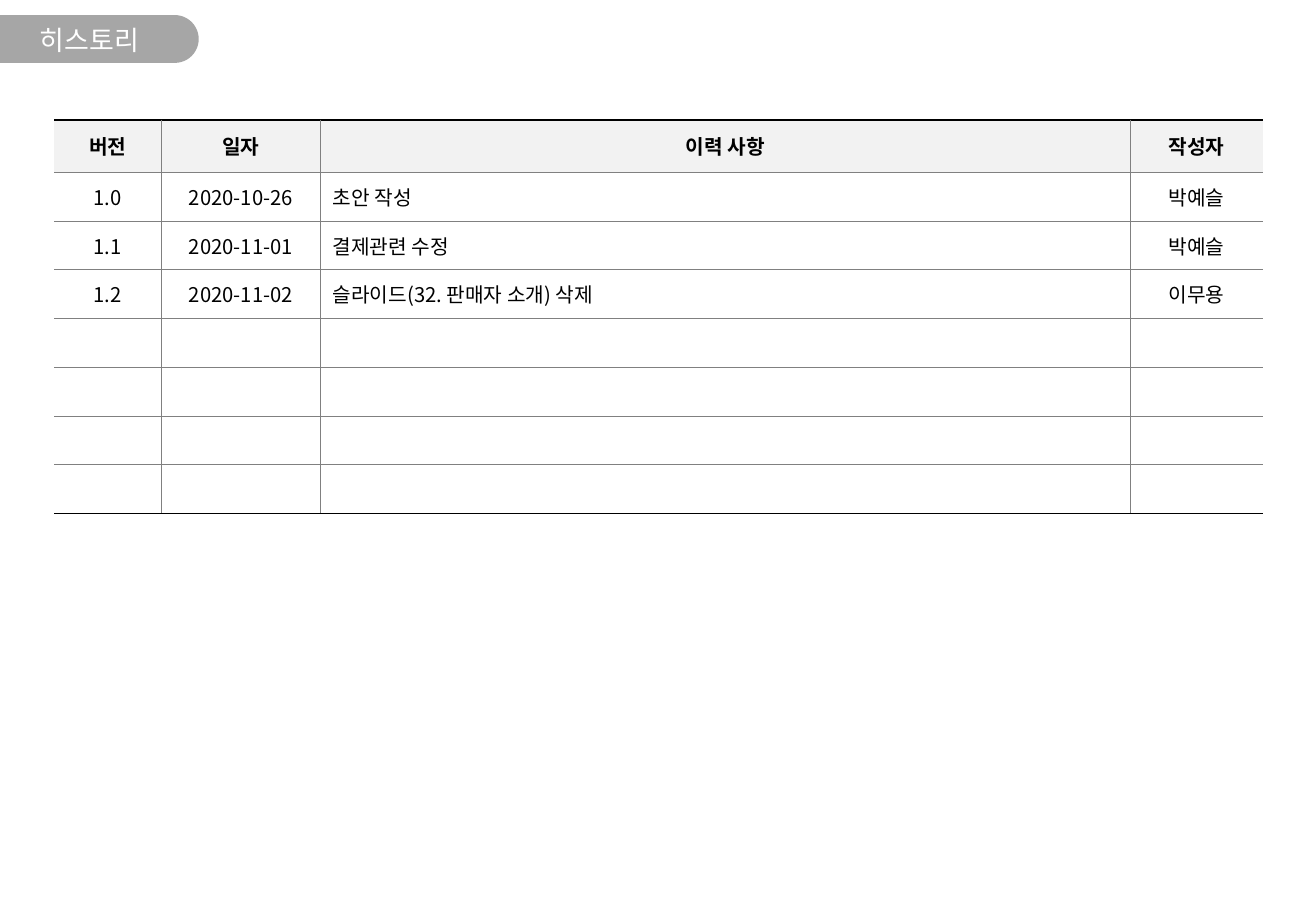
from dataclasses import astuple, dataclass

from lxml import etree
from pptx import Presentation
from pptx.dml.color import RGBColor
from pptx.enum.shapes import MSO_SHAPE
from pptx.enum.text import MSO_ANCHOR, MSO_AUTO_SIZE, PP_ALIGN
from pptx.oxml.ns import qn
from pptx.slide import Slide
from pptx.table import _Cell
from pptx.text.text import TextFrame
from pptx.util import Cm, Pt

LEFT, CENTER = PP_ALIGN.LEFT, PP_ALIGN.CENTER
MIDDLE = MSO_ANCHOR.MIDDLE
NO_AUTOFIT = MSO_AUTO_SIZE.NONE
TAB_SHAPE = MSO_SHAPE.ROUND_2_SAME_RECTANGLE
TITLE_ONLY = 5


@dataclass(frozen=True)
class Theme:
    font: str = "Noto Sans CJK KR"
    tab: str = "A6A6A6"
    title_text: str = "FFFFFF"
    text: str = "000000"
    header_fill: str = "F2F2F2"
    inner_line: str = "808080"
    outer_line: str = "000000"
    title_size: float = 16
    table_size: float = 12
    inner_width: float = 0.5
    outer_width: float = 0.75


@dataclass(frozen=True)
class Column:
    heading: str
    width: float
    align: PP_ALIGN = CENTER


@dataclass(frozen=True)
class Revision:
    version: str = ""
    date: str = ""
    change: str = ""
    author: str = ""


THEME = Theme()
COLUMNS = [
    Column("버전", 2.24),
    Column("일자", 3.33),
    Column("이력 사항", 16.92, LEFT),
    Column("작성자", 2.79),
]
REVISIONS = [
    Revision("1.0", "2020-10-26", "초안 작성", "박예슬"),
    Revision("1.1", "2020-11-01", "결제관련 수정", "박예슬"),
    Revision("1.2", "2020-11-02", "슬라이드(32. 판매자 소개) 삭제", "이무용"),
]
BLANK_ROWS = 4
HEADER_HEIGHT, ROW_HEIGHT = 1.09, 1.02


def write_text(frame: TextFrame, text: str, *, size: float, color: str,
               bold: bool = False, align: PP_ALIGN = CENTER) -> None:
    paragraph = frame.paragraphs[0]
    paragraph.alignment = align
    if not text:
        # The end mark keeps an empty row from growing to the default size.
        etree.SubElement(paragraph._p, qn("a:endParaRPr"), sz=str(int(size * 100)))
        return
    run = paragraph.add_run()
    run.text = text
    font = run.font
    font.size, font.bold, font.name = Pt(size), bold, THEME.font
    font.color.rgb = RGBColor.from_string(color)
    etree.SubElement(font._element, qn("a:ea"), typeface=THEME.font)


def set_border(cell: _Cell, side: str, color: str | None, width: float) -> None:
    """Draw one side (L, R, T or B) of a cell; no colour means no line."""
    line = etree.SubElement(cell._tc.get_or_add_tcPr(), qn(f"a:ln{side}"),
                            w=str(Pt(width)))
    if color is None:
        etree.SubElement(line, qn("a:noFill"))
    else:
        fill = etree.SubElement(line, qn("a:solidFill"))
        etree.SubElement(fill, qn("a:srgbClr"), val=color)


def add_title(slide: Slide, text: str) -> None:
    tab = slide.shapes.add_shape(TAB_SHAPE, Cm(1.57), Cm(-1.27), Cm(1), Cm(4.17))
    tab.rotation = 270
    tab.adjustments[0], tab.adjustments[1] = 0, 0.5
    tab.shadow.inherit = False
    tab.fill.solid()
    tab.fill.fore_color.rgb = RGBColor.from_string(THEME.tab)
    tab.line.fill.background()

    title = slide.shapes.title
    tab._element.addnext(title._element)
    title.left, title.top, title.width, title.height = Cm(-0.03), Cm(0.33), Cm(3.8), Cm(1)
    frame = title.text_frame
    frame.auto_size = NO_AUTOFIT
    frame.vertical_anchor = MIDDLE
    write_text(frame, text, size=THEME.title_size, color=THEME.title_text)


def add_history(slide: Slide) -> None:
    headings = tuple(column.heading for column in COLUMNS)
    revisions = REVISIONS + [Revision()] * BLANK_ROWS
    rows = [headings] + [astuple(revision) for revision in revisions]
    last_row, last_column = len(rows) - 1, len(COLUMNS) - 1
    width = sum(column.width for column in COLUMNS)
    height = HEADER_HEIGHT + ROW_HEIGHT * last_row
    history = slide.shapes.add_table(len(rows), len(COLUMNS), Cm(1.13), Cm(2.51),
                                     Cm(width), Cm(height)).table
    history.first_row = history.horz_banding = False
    for grid_column, column in zip(history.columns, COLUMNS):
        grid_column.width = Cm(column.width)

    inner = (THEME.inner_line, THEME.inner_width)
    outer = (THEME.outer_line, THEME.outer_width)
    no_line = (None, THEME.inner_width)
    for r, values in enumerate(rows):
        is_header = r == 0
        history.rows[r].height = Cm(HEADER_HEIGHT if is_header else ROW_HEIGHT)
        for c, (value, column) in enumerate(zip(values, COLUMNS)):
            cell = history.cell(r, c)
            set_border(cell, "L", *(no_line if c == 0 else inner))
            set_border(cell, "R", *(no_line if c == last_column else inner))
            set_border(cell, "T", *(outer if is_header else inner))
            set_border(cell, "B", *(outer if r == last_row else inner))
            if is_header:
                cell.fill.solid()
                cell.fill.fore_color.rgb = RGBColor.from_string(THEME.header_fill)
            else:
                cell.fill.background()
            cell.vertical_anchor = MIDDLE
            write_text(cell.text_frame, value, size=THEME.table_size,
                       color=THEME.text, bold=is_header,
                       align=CENTER if is_header else column.align)


def main() -> None:
    presentation = Presentation()
    presentation.slide_width, presentation.slide_height = Cm(27.51), Cm(19.05)
    slide = presentation.slides.add_slide(presentation.slide_layouts[TITLE_ONLY])
    add_title(slide, "히스토리")
    add_history(slide)
    presentation.save("out.pptx")


if __name__ == "__main__":
    main()
